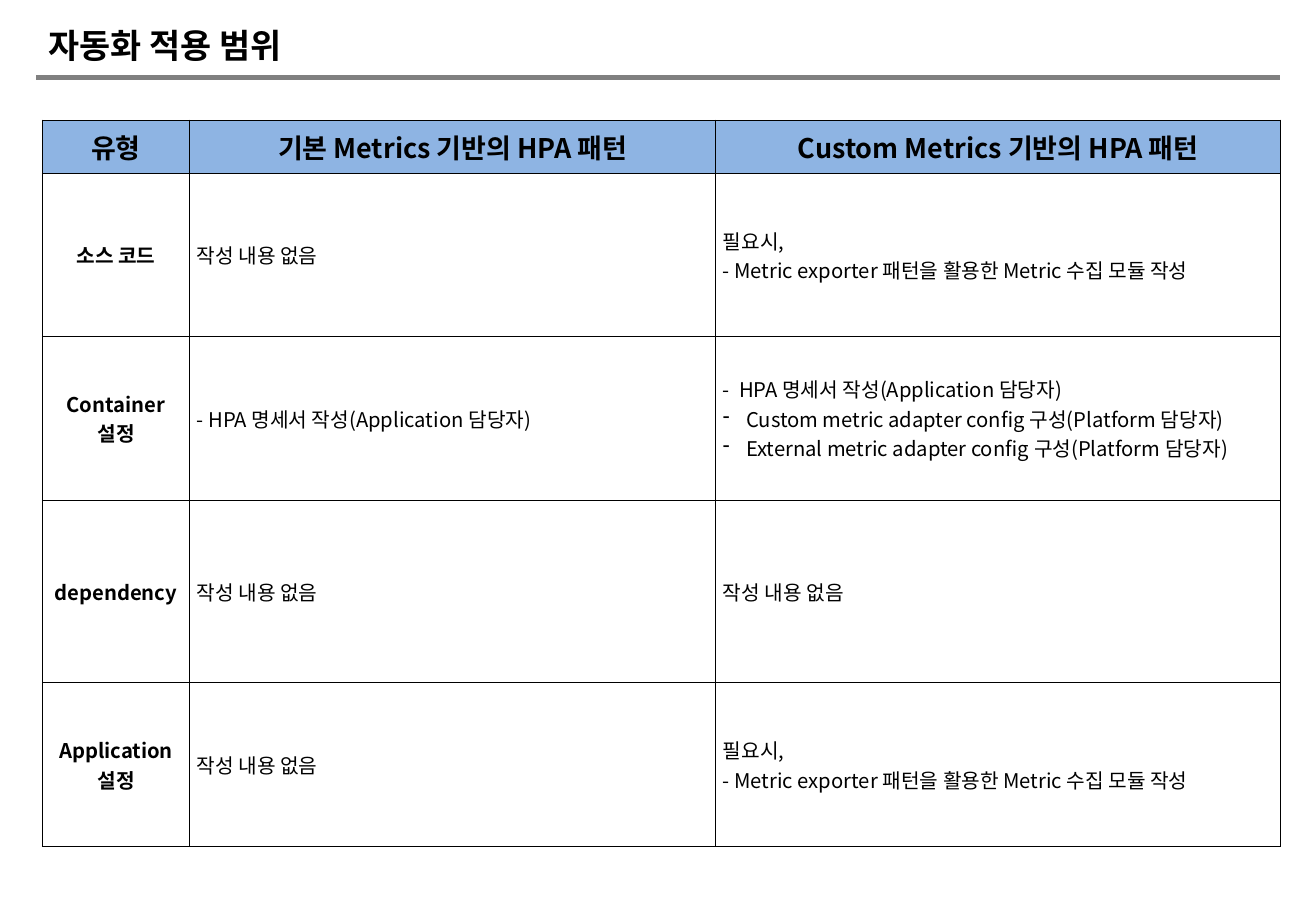
from lxml import etree
from pptx import Presentation
from pptx.dml.color import RGBColor
from pptx.enum.shapes import MSO_CONNECTOR
from pptx.enum.text import MSO_ANCHOR, PP_ALIGN
from pptx.oxml.ns import qn
from pptx.util import Inches, Pt

CENTER, LEFT = PP_ALIGN.CENTER, PP_ALIGN.LEFT
MIDDLE = MSO_ANCHOR.MIDDLE
STRAIGHT = MSO_CONNECTOR.STRAIGHT

# Content: a cell is a list of paragraphs, "\v" breaks a line, "•" marks a dash bullet
TITLE = "자동화 적용 범위"
HEADINGS = ["유형", "기본 Metrics 기반의 HPA 패턴", "Custom Metrics 기반의 HPA 패턴"]
NOTHING = ["작성 내용 없음"]
EXPORTER = ["필요시,\v- Metric exporter 패턴을 활용한 Metric 수집 모듈 작성"]
SCOPE = [
    (["소스 코드"], NOTHING, EXPORTER),
    (["Container 설정"],
     ["- HPA 명세서 작성(Application 담당자)"],
     ["-  HPA 명세서 작성(Application 담당자)",
      "•Custom metric adapter config 구성(Platform 담당자)",
      "•External metric adapter config 구성(Platform 담당자)"]),
    (["dependency"], NOTHING, NOTHING),
    (["Application 설정"], NOTHING, EXPORTER),
]

# Format
COLORS = {"text": "000000", "border": "000000", "heading": "8EB4E3", "rule": "808080"}
TITLE_FONT, TABLE_FONT = "Lato", "Noto Sans CJK KR"
COLUMN_WIDTHS = [1.21, 4.33, 4.65]
ROW_HEIGHTS = [0.37, 1.34, 1.35, 1.5, 1.35]
CELL_FORMAT = {
    "vertical_anchor": MIDDLE,
    **{f"margin_{side}": Inches(0.06) for side in ("left", "right", "top", "bottom")},
}


def color(name):
    return RGBColor.from_string(COLORS[name])


def write(paragraph, text, size, bold, font, align):
    paragraph.text = text
    paragraph.alignment = align
    for run in paragraph.runs:
        run.font.color.rgb = color("text")
        for key, value in {"size": Pt(size), "bold": bold, "name": font}.items():
            setattr(run.font, key, value)
        etree.SubElement(run.font._element, qn("a:ea"), typeface=TABLE_FONT)


def add_dash(paragraph):
    properties = paragraph._p.get_or_add_pPr()
    properties.set("marL", str(Inches(0.19)))
    properties.set("indent", str(-Inches(0.19)))
    etree.SubElement(properties, qn("a:buChar"), char="-")


def add_borders(cell):
    properties = cell._tc.get_or_add_tcPr()
    for edge in ("a:lnL", "a:lnR", "a:lnT", "a:lnB"):
        line = etree.SubElement(properties, qn(edge), w=str(Pt(1)))
        fill = etree.SubElement(line, qn("a:solidFill"))
        etree.SubElement(fill, qn("a:srgbClr"), val=COLORS["border"])


def fill_cell(cell, paragraphs, size, bold, align):
    for key, value in CELL_FORMAT.items():
        setattr(cell, key, value)
    frame = cell.text_frame
    for i, text in enumerate(paragraphs):
        paragraph = frame.add_paragraph() if i else frame.paragraphs[0]
        write(paragraph, text.lstrip("•"), size, bold, TABLE_FONT, align)
        if text.startswith("•"):
            add_dash(paragraph)
    add_borders(cell)


deck = Presentation()
deck.slide_width, deck.slide_height = Inches(10.83), Inches(7.5)
slide = deck.slides.add_slide(deck.slide_layouts[5])

# Title and the rule below it
title = slide.shapes.title
box = {"left": 0.3, "top": 0.15, "width": 10.24, "height": 0.44}
for key, value in box.items():
    setattr(title, key, Inches(value))
title.text_frame.vertical_anchor = MIDDLE
write(title.text_frame.paragraphs[0], TITLE, 20, True, TITLE_FONT, LEFT)

rule = slide.shapes.add_connector(
    STRAIGHT, Inches(0.3), Inches(0.64), Inches(10.53), Inches(0.64))
rule.line.color.rgb = color("rule")
rule.line.width = Pt(3)
etree.SubElement(rule._element.spPr, qn("a:effectLst"))

# Scope table
scope = slide.shapes.add_table(
    len(ROW_HEIGHTS), len(COLUMN_WIDTHS), Inches(0.35), Inches(0.99),
    Inches(sum(COLUMN_WIDTHS)), Inches(sum(ROW_HEIGHTS))).table
scope.first_row = scope.horz_banding = False
for column, width in zip(scope.columns, COLUMN_WIDTHS):
    column.width = Inches(width)
for row, height in zip(scope.rows, ROW_HEIGHTS):
    row.height = Inches(height)

for c, heading in enumerate(HEADINGS):
    cell = scope.cell(0, c)
    fill_cell(cell, [heading], 16, True, CENTER)
    cell.fill.solid()
    cell.fill.fore_color.rgb = color("heading")

for r, contents in enumerate(SCOPE, start=1):
    for c, paragraphs in enumerate(contents):
        cell = scope.cell(r, c)
        is_type = c == 0
        fill_cell(cell, paragraphs, 12, is_type, CENTER if is_type else LEFT)
        cell.fill.background()

deck.save("out.pptx")
